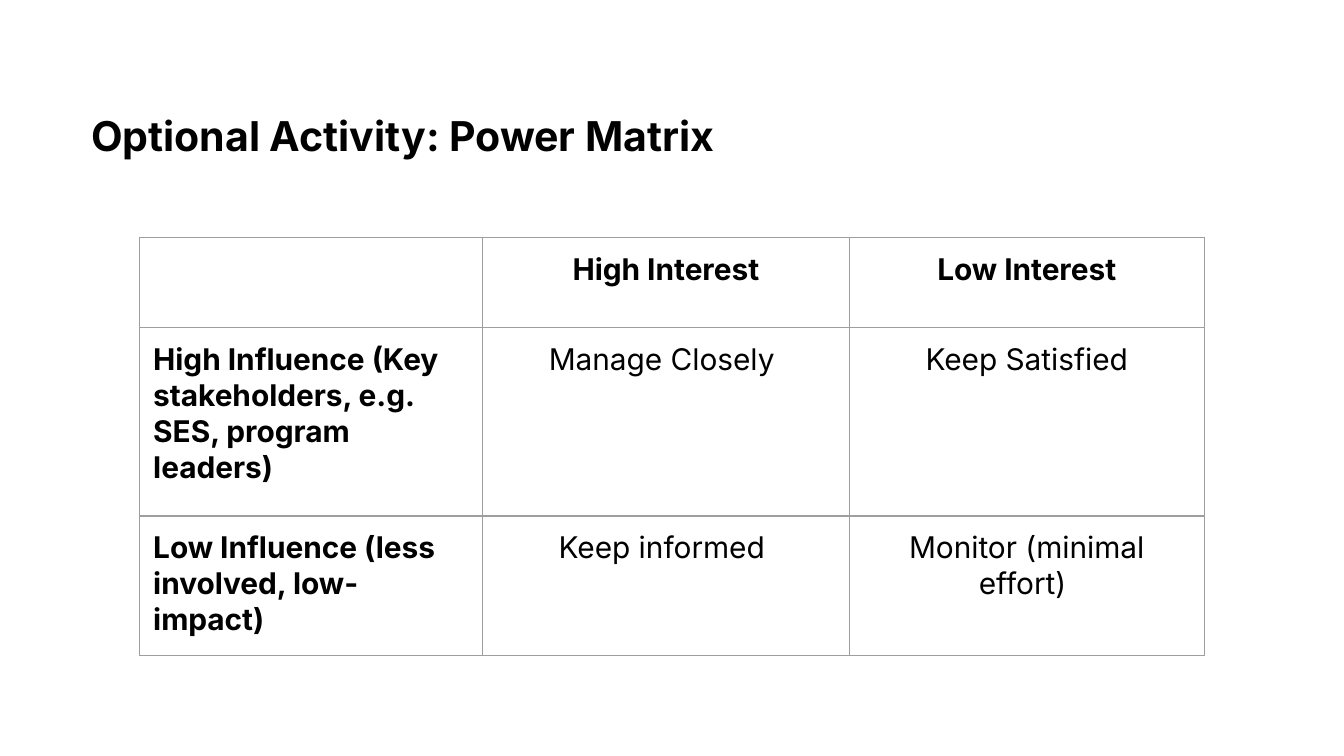
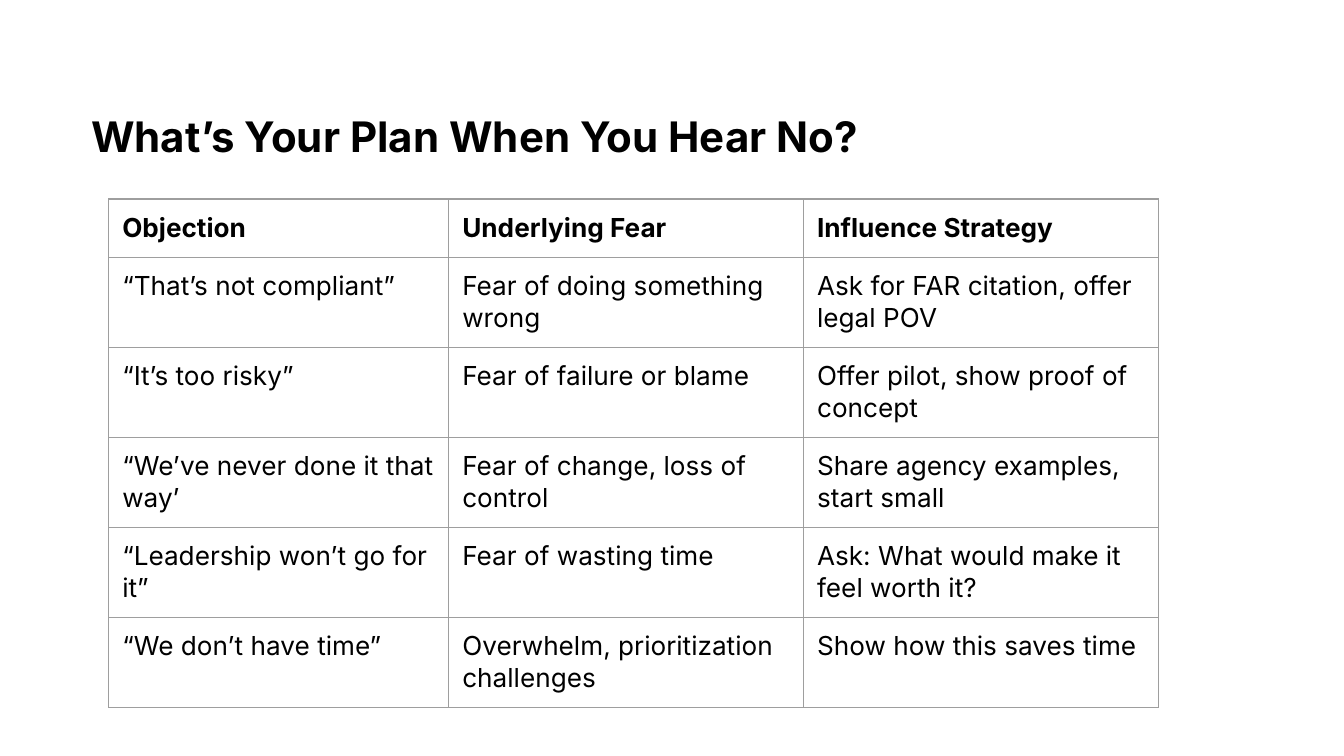
from lxml import etree
from pptx import Presentation
from pptx.dml.color import RGBColor
from pptx.enum import text
from pptx.oxml import ns
from pptx.util import Inches, Pt

BLACK = RGBColor(0x00, 0x00, 0x00)
BORDER_GREY = RGBColor(0x9E, 0x9E, 0x9E)
FONT = "Inter"
BORDER_WIDTH = Pt(0.75)
SLIDE_WIDTH = Inches(10)
SLIDE_HEIGHT = SLIDE_WIDTH * 9 // 16
TITLE_BOX = (0.58, 0.67, 8.21, 0.6)
SIDES = ("left", "right", "top", "bottom")

POWER_MATRIX = [
    ["", "High Interest", "Low Interest"],
    ["High Influence (Key stakeholders, e.g. SES, program leaders)",
     "Manage Closely ", "Keep Satisfied"],
    ["Low Influence (less involved, low-impact)",
     "Keep informed ", "Monitor (minimal effort) "],
]
OBJECTIONS = [
    ["Objection", "Underlying Fear", "Influence Strategy"],
    ["“That’s not compliant”", "Fear of doing something wrong",
     "Ask for FAR citation, offer legal POV"],
    ["“It’s too risky”", "Fear of failure or blame",
     "Offer pilot, show proof of concept"],
    ["“We’ve never done it that way’", "Fear of change, loss of control",
     "Share agency examples, start small"],
    ["“Leadership won’t go for it”", "Fear of wasting time",
     "Ask: What would make it feel worth it?"],
    ["“We don’t have time”", "Overwhelm, prioritization challenges",
     "Show how this saves time"],
]


def write(paragraph, words, size, bold):
    if words:
        paragraph.add_run().text = words
    look = {"name": FONT, "size": Pt(size), "bold": bold}
    for font in [paragraph.font] + [run.font for run in paragraph.runs]:
        for attribute, value in look.items():
            setattr(font, attribute, value)
        font.color.rgb = BLACK


def add_title(slide, box, words, size):
    frame = slide.shapes.add_textbox(*map(Inches, box)).text_frame
    layout = {
        "word_wrap": True,
        "vertical_anchor": text.MSO_ANCHOR.MIDDLE,
        "margin_left": Inches(0.1),
        "margin_right": Inches(0.1),
        "margin_top": Inches(0.05),
        "margin_bottom": Inches(0.05),
    }
    for attribute, value in layout.items():
        setattr(frame, attribute, value)
    heading = frame.paragraphs[0]
    heading.line_spacing = 1.2
    write(heading, words, size, True)


def outline(cell):
    """Draw the thin grey border on all four sides of a cell."""
    properties = cell._tc.get_or_add_tcPr()
    for side in SIDES:
        line = etree.SubElement(properties, ns.qn("a:ln" + side[0].upper()),
                                w=str(BORDER_WIDTH))
        fill = etree.SubElement(line, ns.qn("a:solidFill"))
        etree.SubElement(fill, ns.qn("a:srgbClr"), val=str(BORDER_GREY))


def add_grid(slide, corner, widths, heights, rows, size,
             bold_first_column=False, centred=False):
    """Place a bordered table whose first row is bold."""
    box = (*corner, sum(widths), sum(heights))
    table = slide.shapes.add_table(len(rows), len(widths),
                                   *map(Inches, box)).table
    table.first_row = table.horz_banding = False
    for column, width in zip(table.columns, widths):
        column.width = Inches(width)
    for row, height in zip(table.rows, heights):
        row.height = Inches(height)
    for r, row in enumerate(rows):
        for c, words in enumerate(row):
            cell = table.cell(r, c)
            for side in SIDES:
                setattr(cell, "margin_" + side, Inches(0.1))
            outline(cell)
            cell.fill.background()
            paragraph = cell.text_frame.paragraphs[0]
            if centred and c > 0:
                paragraph.alignment = text.PP_ALIGN.CENTER
            write(paragraph, words, size,
                  r == 0 or (bold_first_column and c == 0))


def power_matrix_slide(slide):
    add_title(slide, TITLE_BOX, "Optional Activity: Power Matrix", 22)
    add_grid(slide, (1.04, 1.77), (2.55, 2.73, 2.64), (0.67, 1.4, 1.04),
             POWER_MATRIX, 16, bold_first_column=True, centred=True)


def objections_slide(slide):
    add_title(slide, TITLE_BOX, "What’s Your Plan When You Hear No?", 22.5)
    heights = [0.42] + [0.67] * (len(OBJECTIONS) - 1)
    add_grid(slide, (0.81, 1.48), (2.53, 2.64, 2.64), heights, OBJECTIONS, 14)


def main():
    deck = Presentation()
    deck.slide_width, deck.slide_height = SLIDE_WIDTH, SLIDE_HEIGHT
    blank = deck.slide_layouts[6]
    for build in (power_matrix_slide, objections_slide):
        build(deck.slides.add_slide(blank))
    deck.save("out.pptx")


if __name__ == "__main__":
    main()
